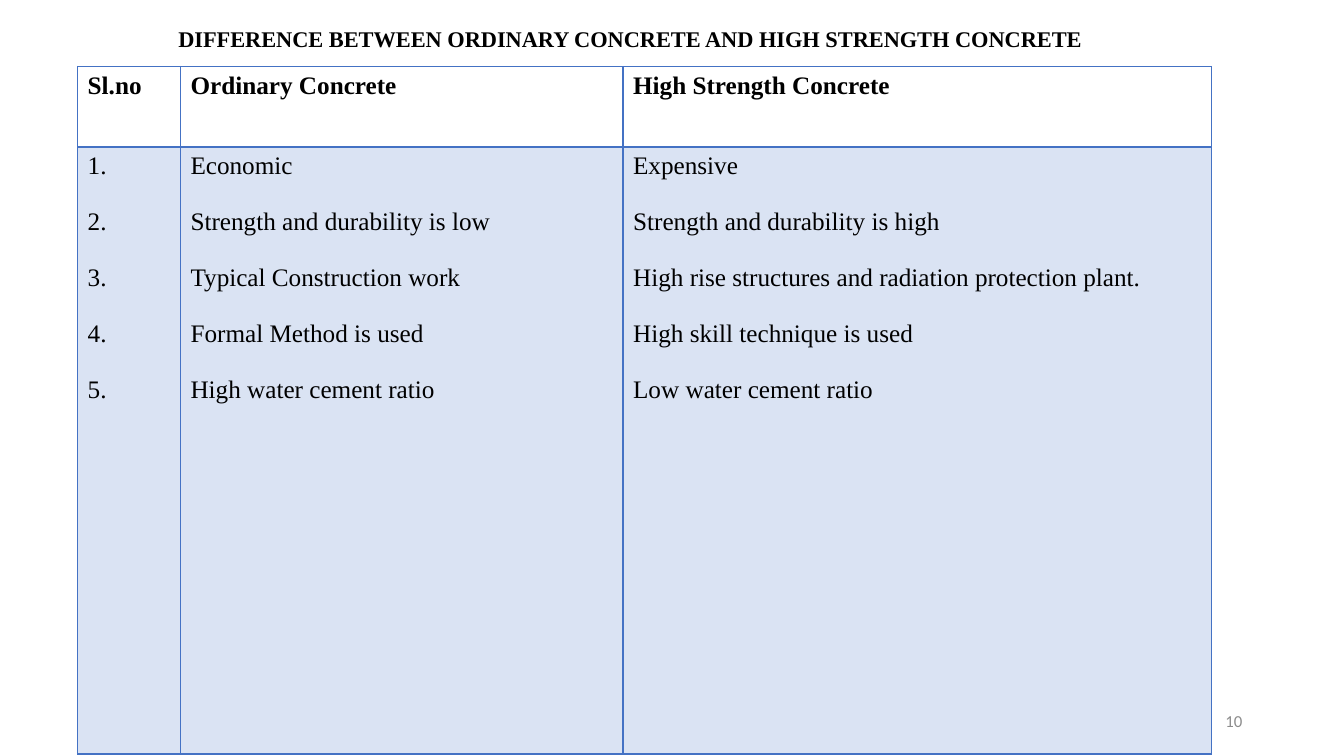
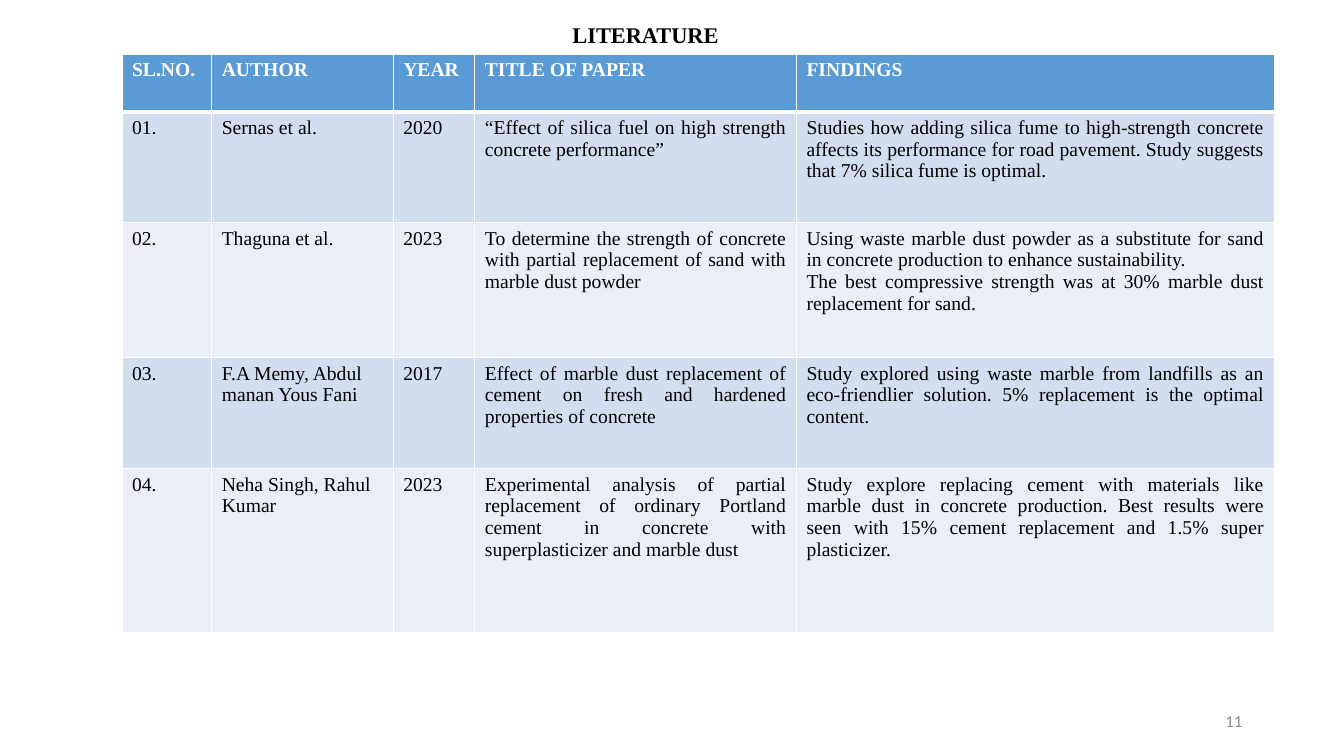
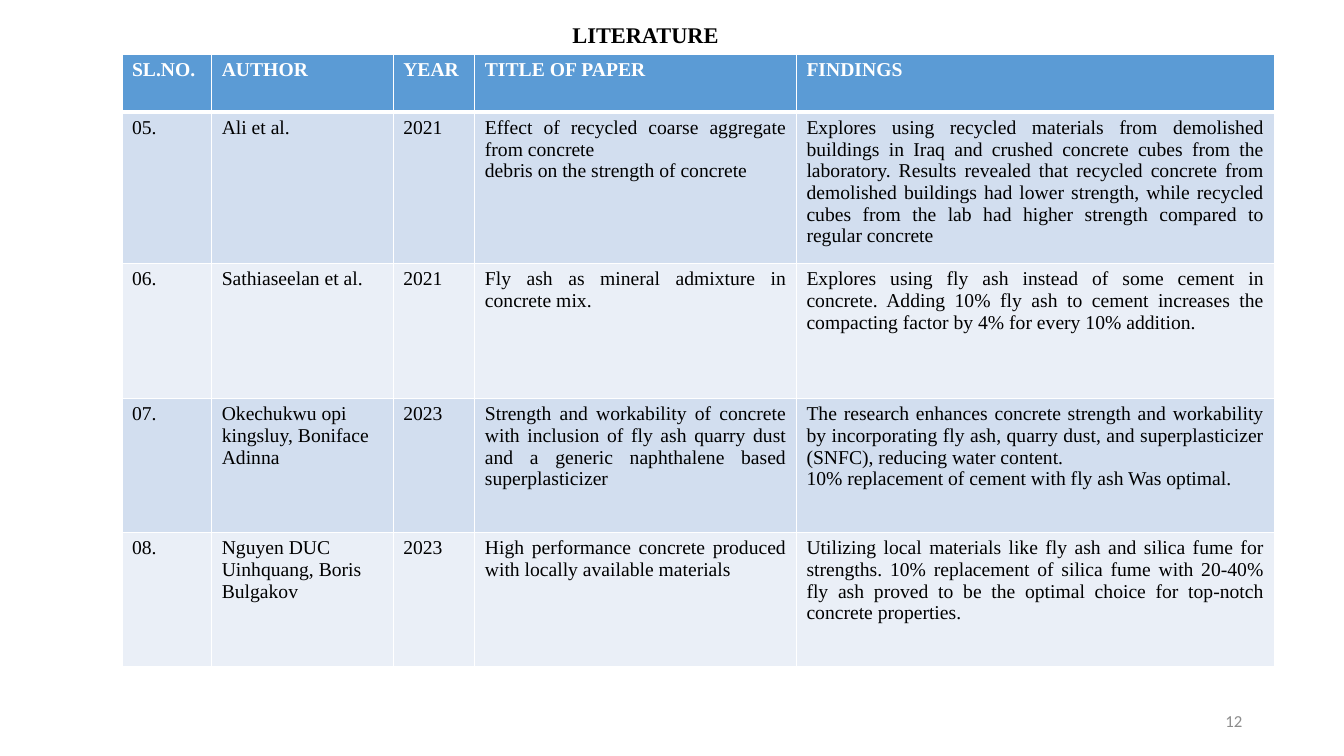
from lxml import etree
from pptx import Presentation
from pptx.dml.color import RGBColor
from pptx.enum.text import MSO_ANCHOR, PP_ALIGN
from pptx.oxml.ns import qn
from pptx.util import Inches, Pt

LEFT, RIGHT, JUSTIFY = PP_ALIGN.LEFT, PP_ALIGN.RIGHT, PP_ALIGN.JUSTIFY
TOP, MIDDLE = MSO_ANCHOR.TOP, MSO_ANCHOR.MIDDLE

SLIDE_W, SLIDE_H = 13.33, 7.5
SERIF, SANS = "Times New Roman", "Calibri"
BLACK, WHITE, GREY = "000000", "FFFFFF", "8C8C8C"
BLUE, PALE_BLUE = "4472C4", "DAE3F3"
HEADER_BLUE, BANDS = "5B9BD5", ("D2DEEF", "EAEFF7")

COMPARISON_COLS = (1.02, 4.39, 5.84)
COMPARISON_ROWS = (0.8, 6.02)
COMPARISON_HEADER = ("Sl.no", "Ordinary Concrete", "High Strength Concrete")
COMPARISON = (
    ("1.", "Economic", "Expensive"),
    ("2.", "Strength and durability is low", "Strength and durability is high"),
    ("3.", "Typical Construction work",
     "High rise structures and radiation protection plant."),
    ("4.", "Formal Method is used", "High skill technique is used"),
    ("5.", "High water cement ratio", "Low water cement ratio"),
)

LITERATURE_COLS = (0.89, 1.8, 0.81, 3.19, 4.74)
LITERATURE_HEADER = ("SL.NO.", "AUTHOR", "YEAR", "TITLE OF PAPER", "FINDINGS")
LITERATURE_1 = (
    ("01.", "Sernas et al.", "2020",
     "“Effect of silica fuel on high strength concrete performance”",
     "Studies how adding silica fume to high-strength concrete affects its "
     "performance for road pavement. Study suggests that 7% silica fume is optimal."),
    ("02.", "Thaguna et al.", "2023",
     "To determine the strength of concrete with partial replacement of sand "
     "with marble dust powder",
     "Using waste marble dust powder as a substitute for sand in concrete "
     "production to enhance sustainability.\n"
     "The best compressive strength was at 30% marble dust replacement for sand."),
    ("03.", "F.A Memy, Abdul manan Yous Fani", "2017",
     "Effect of marble dust replacement of cement on fresh and hardened "
     "properties of concrete",
     "Study explored using waste marble from landfills as an eco-friendlier "
     "solution. 5% replacement is the optimal content."),
    ("04.", "Neha Singh, Rahul Kumar", "2023",
     "Experimental analysis of partial replacement of ordinary Portland cement "
     "in concrete with superplasticizer and marble dust",
     "Study explore replacing cement with materials like marble dust in concrete "
     "production. Best results were seen with 15% cement replacement and 1.5% "
     "super plasticizer."),
)
LITERATURE_2 = (
    ("05.", "Ali et al.", "2021",
     "Effect of recycled coarse aggregate from concrete\n"
     "debris on the strength of concrete",
     "Explores using recycled materials from demolished buildings in Iraq and "
     "crushed concrete cubes from the laboratory. Results revealed that recycled "
     "concrete from demolished buildings had lower strength, while recycled cubes "
     "from the lab had higher strength compared to regular concrete"),
    ("06.", "Sathiaseelan et al.", "2021",
     "Fly ash as mineral admixture in concrete mix.",
     "Explores using fly ash instead of some cement in concrete. Adding 10% fly "
     "ash to cement increases the compacting factor by 4% for every 10% addition."),
    ("07.", "Okechukwu opi kingsluy, Boniface Adinna", "2023",
     "Strength and workability of concrete with inclusion of fly ash quarry dust "
     "and a generic naphthalene based superplasticizer",
     "The research enhances concrete strength and workability by incorporating "
     "fly ash, quarry dust, and superplasticizer (SNFC), reducing water content.\n"
     "10% replacement of cement with fly ash Was optimal."),
    ("08.", "Nguyen DUC Uinhquang, Boris Bulgakov", "2023",
     "High performance concrete produced with locally available materials",
     "Utilizing local materials like fly ash and silica fume for strengths. 10% "
     "replacement of silica fume with 20-40% fly ash proved to be the optimal "
     "choice for top-notch concrete properties."),
)


def rgb(color):
    return RGBColor.from_string(color)


def write(tf, text, size, color=BLACK, font=SERIF, bold=False, align=LEFT, after=0):
    tf.text = text
    for p in tf.paragraphs:
        p.alignment = align
        p.space_after = Pt(after)
        p.font.size = Pt(size)
        p.font.name = font
        p.font.bold = bold
        p.font.color.rgb = rgb(color)


def add_text(s, box, text, size, anchor=TOP, **style):
    tf = s.shapes.add_textbox(*map(Inches, box)).text_frame
    tf.word_wrap = True
    tf.vertical_anchor = anchor
    write(tf, text, size, **style)


def add_title(s, left, top, width, text):
    add_text(s, (left, top, width, 0.35), text, 16, bold=True)


def add_page_number(s, number):
    add_text(s, (9.42, 6.95, 3, 0.4), str(number), 12, MIDDLE,
             color=GREY, font=SANS, align=RIGHT)


def set_borders(cell, color, widths):
    tc_pr = cell._tc.get_or_add_tcPr()
    for side, width in zip("LRTB", widths):
        ln = etree.SubElement(tc_pr, qn(f"a:ln{side}"), w=str(Pt(width)))
        fill = etree.SubElement(ln, qn("a:solidFill"))
        etree.SubElement(fill, qn("a:srgbClr"), val=color)


def add_grid(s, left, top, cols, rows, border, rule):
    box = map(Inches, (left, top, sum(cols), sum(rows)))
    table = s.shapes.add_table(len(rows), len(cols), *box).table
    table.horz_banding = False
    for column, width in zip(table.columns, cols):
        column.width = Inches(width)
    for i, height in enumerate(rows):
        table.rows[i].height = Inches(height)
        over = rule if i == 1 else 1
        under = rule if i == 0 else 1
        for cell in table.rows[i].cells:
            set_borders(cell, border, (1, 1, over, under))
    return table


def fill_row(table, i, texts, size, fill=None, aligns=None, **style):
    for j, text in enumerate(texts):
        cell = table.cell(i, j)
        if fill:
            cell.fill.solid()
            cell.fill.fore_color.rgb = rgb(fill)
        else:
            cell.fill.background()
        write(cell.text_frame, text, size, align=aligns[j] if aligns else LEFT, **style)


def new_slide(prs, number):
    s = prs.slides.add_slide(prs.slide_layouts[6])
    add_page_number(s, number)
    return s


def comparison_slide(prs, number):
    s = new_slide(prs, number)
    add_title(s, 1.67, 0.2, 9.24,
              "DIFFERENCE BETWEEN ORDINARY CONCRETE AND HIGH STRENGTH CONCRETE")
    table = add_grid(s, 0.77, 0.66, COMPARISON_COLS, COMPARISON_ROWS, BLUE, 2)
    fill_row(table, 0, COMPARISON_HEADER, 18, bold=True)
    columns = ["\n".join(column) for column in zip(*COMPARISON)]
    fill_row(table, 1, columns, 18, PALE_BLUE, after=20)


def literature_slide(prs, number, papers, heights):
    s = new_slide(prs, number)
    add_title(s, 5.58, 0.16, 2, "LITERATURE")
    table = add_grid(s, 1.21, 0.54, LITERATURE_COLS, (0.57, *heights), WHITE, 3)
    fill_row(table, 0, LITERATURE_HEADER, 14, HEADER_BLUE, color=WHITE, bold=True)
    aligns = (LEFT, LEFT, LEFT, JUSTIFY, JUSTIFY)
    for i, paper in enumerate(papers):
        fill_row(table, i + 1, paper, 14, BANDS[i % 2], aligns)


def main():
    prs = Presentation()
    prs.slide_width, prs.slide_height = Inches(SLIDE_W), Inches(SLIDE_H)
    comparison_slide(prs, 10)
    literature_slide(prs, 11, LITERATURE_1, (1.1, 1.34, 1.1, 1.63))
    literature_slide(prs, 12, LITERATURE_2, (1.5, 1.34, 1.33, 1.33))
    prs.save("out.pptx")


if __name__ == "__main__":
    main()
